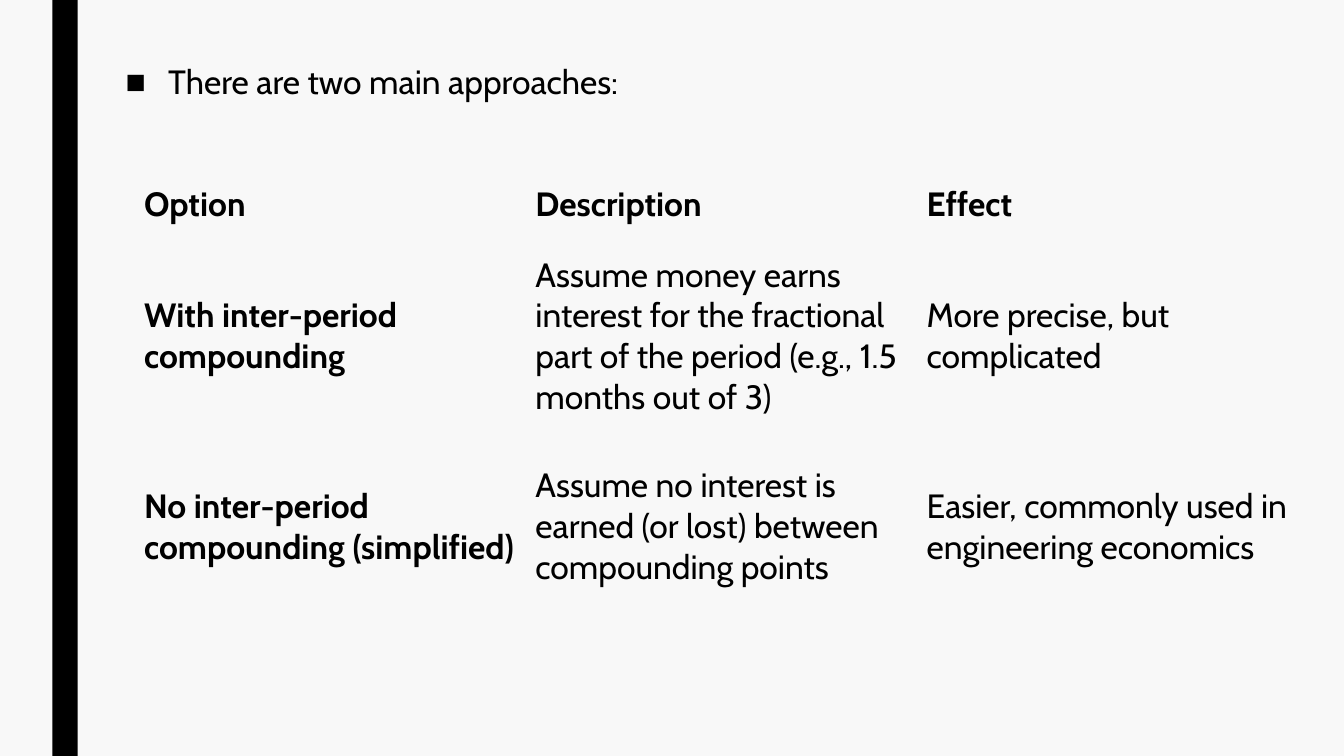
from lxml.etree import SubElement
from pptx import Presentation
from pptx.dml.color import RGBColor
from pptx.enum.shapes import MSO_SHAPE as Preset
from pptx.enum.text import MSO_ANCHOR as Anchor
from pptx.oxml.ns import qn
from pptx.util import Cm, Pt

BLACK = "000000"
PAPER = "F8F8F8"
FONT = "Cabin"
TEXT_SIZE = 24
PLAIN_TABLE_STYLE = "{2D5ABB26-0587-4C30-8999-92F81FD0307C}"

APPROACHES = [
    ("Option", "Description", "Effect"),
    (
        "With inter-period compounding",
        "Assume money earns interest for the fractional part of the period "
        "(e.g., 1.5 months out of 3)",
        "More precise, but complicated",
    ),
    (
        "No inter-period compounding (simplified)",
        "Assume no interest is earned (or lost) between compounding points",
        "Easier, commonly used in engineering economics",
    ),
]
ROW_HEIGHTS = (1.32, 5.31, 4.29)
COLUMN_WIDTH = 9.86


def paint(fill, color):
    fill.solid()
    fill.fore_color.rgb = RGBColor.from_string(color)


def add_words(paragraph, words, bold=False):
    run = paragraph.add_run()
    run.text = words
    run.font.name = FONT
    run.font.size = Pt(TEXT_SIZE)
    run.font.bold = bold
    run.font.color.rgb = RGBColor.from_string(BLACK)


def add_side_bar(slide, slide_height):
    bar = slide.shapes.add_shape(Preset.RECTANGLE, Cm(1.32), 0, Cm(0.64), slide_height)
    bar.shadow.inherit = False
    paint(bar.fill, BLACK)
    bar.line.fill.background()


def set_square_bullet(paragraph, indent):
    """Give the paragraph a square bullet with a hanging indent."""
    properties = paragraph._p.get_or_add_pPr()
    properties.set("marL", str(indent))
    properties.set("indent", str(-indent))
    SubElement(properties, qn("a:buFont"), typeface="Arial")
    SubElement(properties, qn("a:buChar"), char="■")


def add_lead_in(slide, words):
    lead_in = slide.shapes.add_textbox(Cm(2.92), Cm(1.5), Cm(25.07), Cm(1.7))
    lead_in.text_frame.word_wrap = True
    paragraph = lead_in.text_frame.paragraphs[0]
    set_square_bullet(paragraph, Cm(1.07))
    paragraph.line_spacing = 0.94
    paragraph.space_after = Pt(2)
    add_words(paragraph, words)


def add_comparison(slide, rows):
    column_count = len(rows[0])
    frame = slide.shapes.add_table(
        len(rows), column_count, Cm(3.38), Cm(4.5),
        Cm(COLUMN_WIDTH * column_count), Cm(sum(ROW_HEIGHTS)))
    table = frame.table
    table._tbl.tblPr.find(qn("a:tableStyleId")).text = PLAIN_TABLE_STYLE
    table.horz_banding = False
    for column in table.columns:
        column.width = Cm(COLUMN_WIDTH)
    for row, height in zip(table.rows, ROW_HEIGHTS):
        row.height = Cm(height)
    for row_index, row in enumerate(rows):
        for column_index, words in enumerate(row):
            cell = table.cell(row_index, column_index)
            cell.fill.background()
            cell.vertical_anchor = Anchor.MIDDLE
            is_heading = row_index == 0 or column_index == 0
            add_words(cell.text_frame.paragraphs[0], words, bold=is_heading)


def main():
    deck = Presentation()
    deck.slide_width, deck.slide_height = Cm(33.87), Cm(19.05)
    slide = deck.slides.add_slide(deck.slide_layouts[6])
    paint(slide.background.fill, PAPER)
    add_side_bar(slide, deck.slide_height)
    add_lead_in(slide, "There are two main approaches:")
    add_comparison(slide, APPROACHES)
    deck.save("out.pptx")


if __name__ == "__main__":
    main()
